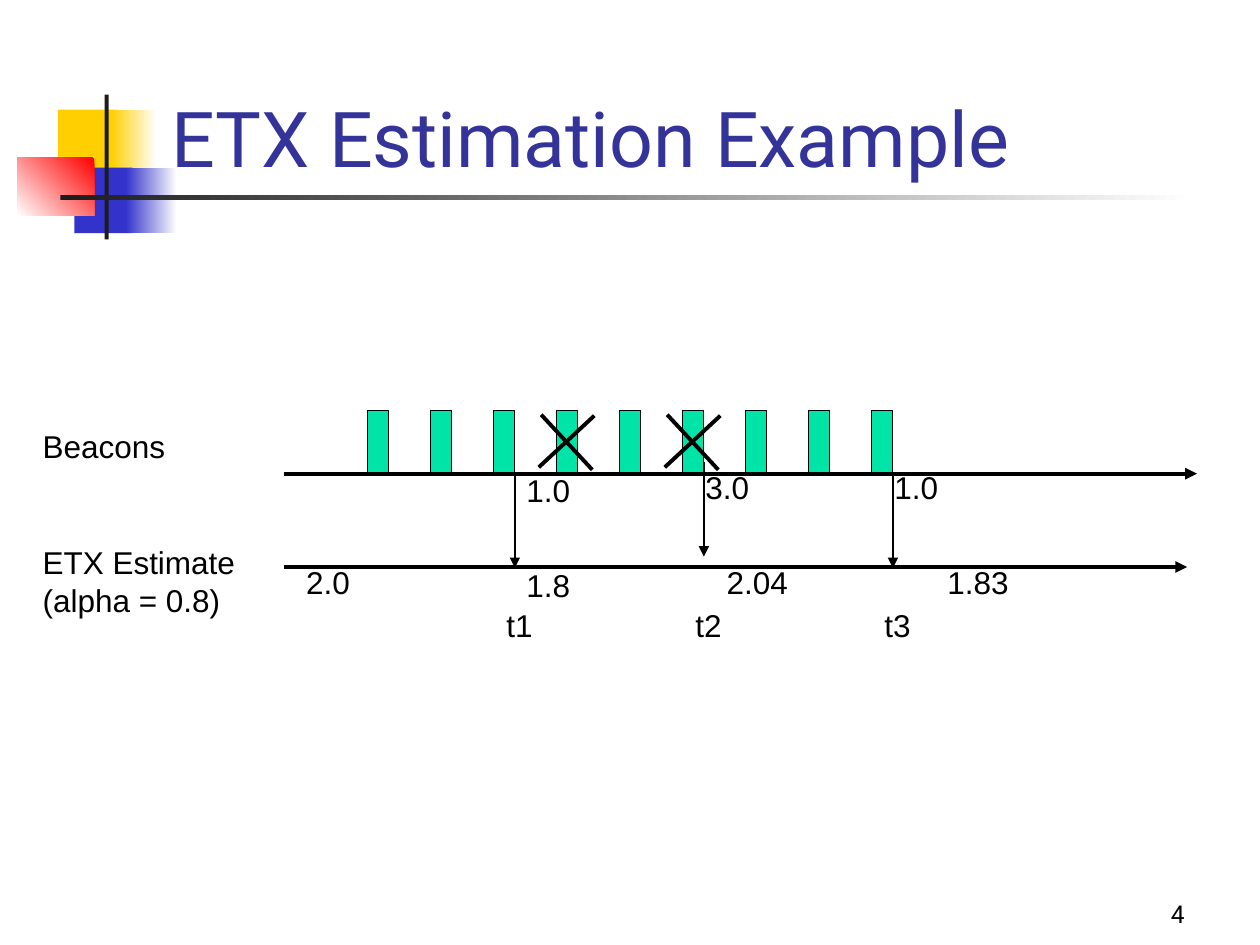
import pptx
import pptx.dml.color
import pptx.enum.shapes
import pptx.enum.text
import pptx.oxml
import pptx.oxml.ns
import pptx.util
import lxml.etree

Cm = pptx.util.Cm
Pt = pptx.util.Pt
RECT = pptx.enum.shapes.MSO_SHAPE.RECTANGLE
STRAIGHT = pptx.enum.shapes.MSO_CONNECTOR.STRAIGHT
ALIGN = pptx.enum.text.PP_ALIGN
ANCHOR = pptx.enum.text.MSO_ANCHOR
AUTO = pptx.enum.text.MSO_AUTO_SIZE


def color(value):
    return pptx.dml.color.RGBColor.from_string(value)


def write(sp, text, size=18, font="Arial", fill="000000", align=ALIGN.LEFT,
          anchor=ANCHOR.TOP, before=0, auto=AUTO.NONE):
    tf = sp.text_frame
    tf.word_wrap = True
    tf.auto_size = auto
    tf.vertical_anchor = anchor
    p = tf.paragraphs[0]
    p.text = text
    p.alignment = align
    p.space_before = Pt(before)
    for r in p.runs:
        r.font.size = Pt(size)
        r.font.name = font
        r.font.color.rgb = color(fill)


prs = pptx.Presentation()
prs.slide_width = Cm(25.4)
prs.slide_height = Cm(19.05)
s = prs.slides.add_slide(prs.slide_layouts[5])

decor = [
    (1.17, 2.21, 1.22, 1.32, "FFCF01", None),
    (2.24, 2.21, 0.91, 1.32, "FFCF01", 0),
    (1.5, 3.38, 1.17, 1.32, "3333CC", None),
    (2.54, 3.38, 1.02, 1.32, "3333CC", 0),
    (0.35, 3.18, 1.55, 1.17, "FF0000", 225),
    (2.11, 1.91, 0.08, 2.92, "1C1C1C", None),
    (1.22, 3.94, 22.86, 0.09, "1C1C1C", 0),
]
for x, y, w, h, fill, angle in decor:
    sp = s.shapes.add_shape(RECT, Cm(x), Cm(y), Cm(w), Cm(h))
    sp.shadow.inherit = False
    sp.line.fill.background()
    if angle is None:
        sp.fill.solid()
        sp.fill.fore_color.rgb = color(fill)
    else:
        sp.fill.gradient()
        sp.fill.gradient_angle = angle
        for stop, shade in zip(sp.fill.gradient_stops, (fill, "FFFFFF")):
            stop.color.rgb = color(shade)

title = s.shapes.title
title.left, title.top, title.width, title.height = Cm(3.2), Cm(0.64), Cm(21.64), Cm(3.18)
write(title, "ETX Estimation Example", size=44, font="Roboto", fill="333399",
      anchor=ANCHOR.BOTTOM)
s.shapes._spTree.append(title._element)

beacon_x = [7.41 + 1.27 * i for i in range(9)]
beacon_w, beacon_y, beacon_h = 0.43, 8.28, 1.27
axis_y = beacon_y + beacon_h

lines = [
    (5.72, axis_y, 24.13, axis_y, 2.25, True),
    (5.72, 11.43, 23.93, 11.43, 2.25, True),
]
for i, y in ((2, axis_y), (5, 9.32), (8, axis_y)):
    x = beacon_x[i] + beacon_w
    lines.append((x, y, x, y + 1.9, 0.75, True))
for i in (3, 5):
    x = beacon_x[i]
    lines.append((x - 0.31, 8.36, x + 0.72, 9.47, 2.25, False))
    lines.append((x + 0.76, 8.38, x - 0.36, 9.42, 2.25, False))

for x in beacon_x:
    sp = s.shapes.add_shape(RECT, Cm(x), Cm(beacon_y), Cm(beacon_w), Cm(beacon_h))
    sp.shadow.inherit = False
    sp.fill.solid()
    sp.fill.fore_color.rgb = color("00E4A8")
    sp.line.color.rgb = color("000000")
    sp.line.width = Pt(0.75)

for x1, y1, x2, y2, width, arrow in lines:
    line = s.shapes.add_connector(STRAIGHT, Cm(x1), Cm(y1), Cm(x2), Cm(y2))
    line.line.color.rgb = color("000000")
    line.line.width = Pt(width)
    lxml.etree.SubElement(line._element.spPr, pptx.oxml.ns.qn("a:effectLst"))
    if arrow:
        ln = line.line._get_or_add_ln()
        lxml.etree.SubElement(ln, pptx.oxml.ns.qn("a:tailEnd"), type="triangle")

labels = [
    ("Beacons", 0.61, 8.48, 3.81, 1.02),
    ("ETX Estimate\v(alpha = 0.8)", 0.61, 10.82, 5.28, 1.78),
    ("2.0", 5.92, 11.23, 1.91, 1.02),
    ("1.0", 10.36, 9.37, 1.91, 1.02),
    ("3.0", 13.97, 9.32, 1.91, 1.02),
    ("1.0", 17.78, 9.32, 1.91, 1.02),
    ("1.8", 10.36, 11.28, 1.91, 1.02),
    ("2.04", 14.4, 11.23, 1.91, 1.02),
    ("1.83", 18.85, 11.23, 1.91, 1.02),
]
for i in range(3):
    labels.append((f"t{i + 1}", 9.96 + 3.81 * i, 12.09, 1.91, 1.02))
for text, x, y, w, h in labels:
    sp = s.shapes.add_textbox(Cm(x), Cm(y), Cm(w), Cm(h))
    write(sp, text, before=11.2, auto=AUTO.SHAPE_TO_FIT_TEXT)

number = s.shapes.add_textbox(Cm(18.85), Cm(17.58), Cm(5.28), Cm(1.27))
write(number, "4", size=14, font="Roboto", align=ALIGN.RIGHT, anchor=ANCHOR.BOTTOM)

prs.save("out.pptx")
